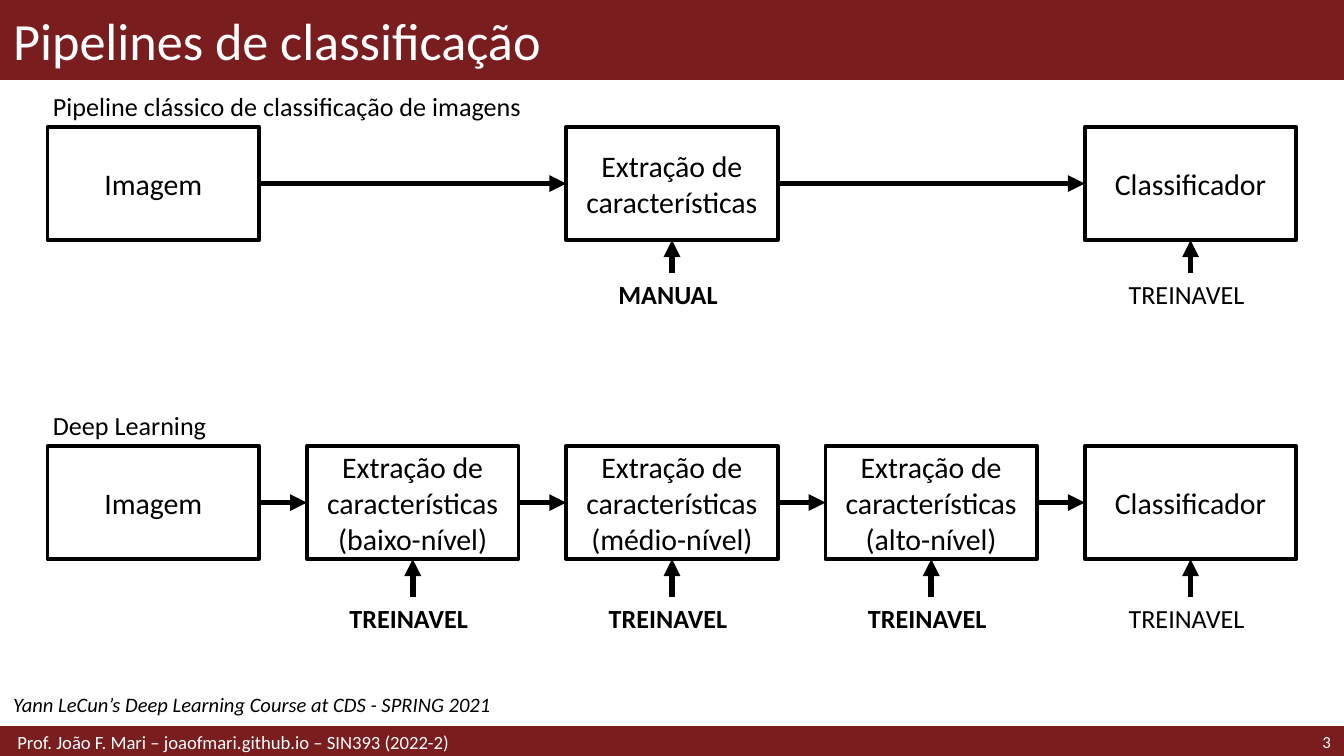
from pptx import Presentation, util as u
from pptx.dml.color import RGBColor
from pptx.enum import shapes, text
from pptx.oxml.ns import qn
from lxml import etree

WINE = RGBColor(0x79, 0x1D, 0x1F)
WHITE = RGBColor(0xFF, 0xFF, 0xFF)
BLACK = RGBColor(0, 0, 0)
FONT = "Calibri"
LEFT, MID, RIGHT = text.PP_ALIGN.LEFT, text.PP_ALIGN.CENTER, text.PP_ALIGN.RIGHT

# Grid in cm: five columns of boxes
WIDE, TALL = 25.4, 14.29
EDGE, PITCH = 0.9, 4.9
BOX_W, BOX_H = 4, 2.14
LINE_H = 0.79

EXTRACT = "Extração de características"
# Each row: heading, top of boxes, top of labels,
# and steps of (column, lines, label, bold label)
ROWS = [
    ("Pipeline clássico de classificação de imagens", 2.4, 5.16, [
        (0, ["Imagem"], None, False),
        (2, [EXTRACT], "MANUAL", True),
        (4, ["Classificador"], "TREINAVEL", False),
    ]),
    ("Deep Learning", 8.43, 11.28, [
        (0, ["Imagem"], None, False),
        (1, [EXTRACT, "(baixo-nível)"], "TREINAVEL", True),
        (2, [EXTRACT, "(médio-nível)"], "TREINAVEL", True),
        (3, [EXTRACT, "(alto-nível)"], "TREINAVEL", True),
        (4, ["Classificador"], "TREINAVEL", False),
    ]),
]


def write(shape, lines, size, color=BLACK, align=LEFT, bold=False, italic=False):
    frame = shape.text_frame
    frame.word_wrap = True
    frame.vertical_anchor = text.MSO_ANCHOR.MIDDLE
    for i, line in enumerate(lines):
        para = frame.add_paragraph() if i else frame.paragraphs[0]
        para.alignment = align
        run = para.add_run()
        run.text = line
        font = run.font
        font.name, font.size = FONT, u.Pt(size)
        font.bold, font.italic = bold, italic
        font.color.rgb = color


def add_text(slide, spot, line, size, inset=0.25, **style):
    box = slide.shapes.add_textbox(*map(u.Cm, spot))
    box.text_frame.margin_left = u.Cm(inset)
    write(box, [line], size, **style)
    return box


def add_rect(slide, spot, edge, width):
    rect = slide.shapes.add_shape(shapes.MSO_SHAPE.RECTANGLE, *map(u.Cm, spot))
    rect.shadow.inherit = False
    rect.line.color.rgb = edge
    rect.line.width = u.Pt(width)
    return rect


def add_bar(slide, top, height, width):
    bar = add_rect(slide, (0, top, WIDE, height), WINE, width)
    bar.fill.solid()
    bar.fill.fore_color.rgb = WINE


def add_step(slide, left, top, lines):
    step = add_rect(slide, (left, top, BOX_W, BOX_H), BLACK, 2)
    step.fill.background()
    write(step, lines, 16, align=MID)
    return step


def add_arrow(slide, start, out, end, into):
    """Join two shapes; sites run 0 top, 1 left, 2 bottom, 3 right."""
    arrow = slide.shapes.add_connector(shapes.MSO_CONNECTOR.STRAIGHT, 0, 0, 0, 0)
    arrow.begin_connect(start, out)
    arrow.end_connect(end, into)
    arrow.line.color.rgb = BLACK
    arrow.line.width = u.Pt(3)
    tip = etree.SubElement(arrow.line._get_or_add_ln(), qn("a:tailEnd"))
    tip.set("type", "triangle")
    etree.SubElement(arrow._element.spPr, qn("a:effectLst"))


def add_row(slide, head, top, low, steps):
    add_text(slide, (EDGE, top - LINE_H, 14, LINE_H), head, 14, inset=0.1)
    last = None
    for col, lines, label, bold in steps:
        left = EDGE + col * PITCH
        step = add_step(slide, left, top, lines)
        if last is not None:
            add_arrow(slide, last, 3, step, 1)
        if label:
            note = add_text(slide, (left, low, BOX_W, LINE_H), label, 14,
                            inset=0.1, align=MID, bold=bold)
            add_arrow(slide, note, 0, step, 2)
        last = step


def main():
    deck = Presentation()
    deck.slide_width, deck.slide_height = u.Cm(WIDE), u.Cm(TALL)
    slide = deck.slides.add_slide(deck.slide_layouts[6])

    # Title and footer bars
    add_bar(slide, 0, 1.5, 1)
    add_bar(slide, 13.76, 0.53, 2)
    add_text(slide, (0, 0, WIDE, 1.5), "Pipelines de classificação", 28, color=WHITE)
    add_text(slide, (0, 13.76, 17.5, 0.53),
             " Prof. João F. Mari – joaofmari.github.io – SIN393 (2022-2)",
             10, color=WHITE)
    add_text(slide, (22.5, 13.75, 2.9, 0.53), "3", 9, color=WHITE, align=RIGHT)

    # Pipelines
    for row in ROWS:
        add_row(slide, *row)

    # Source credit
    add_text(slide, (0, 12.95, 12.7, 0.74),
             "Yann LeCun’s Deep Learning Course at CDS - SPRING 2021",
             11, italic=True)

    deck.save("out.pptx")


if __name__ == "__main__":
    main()
